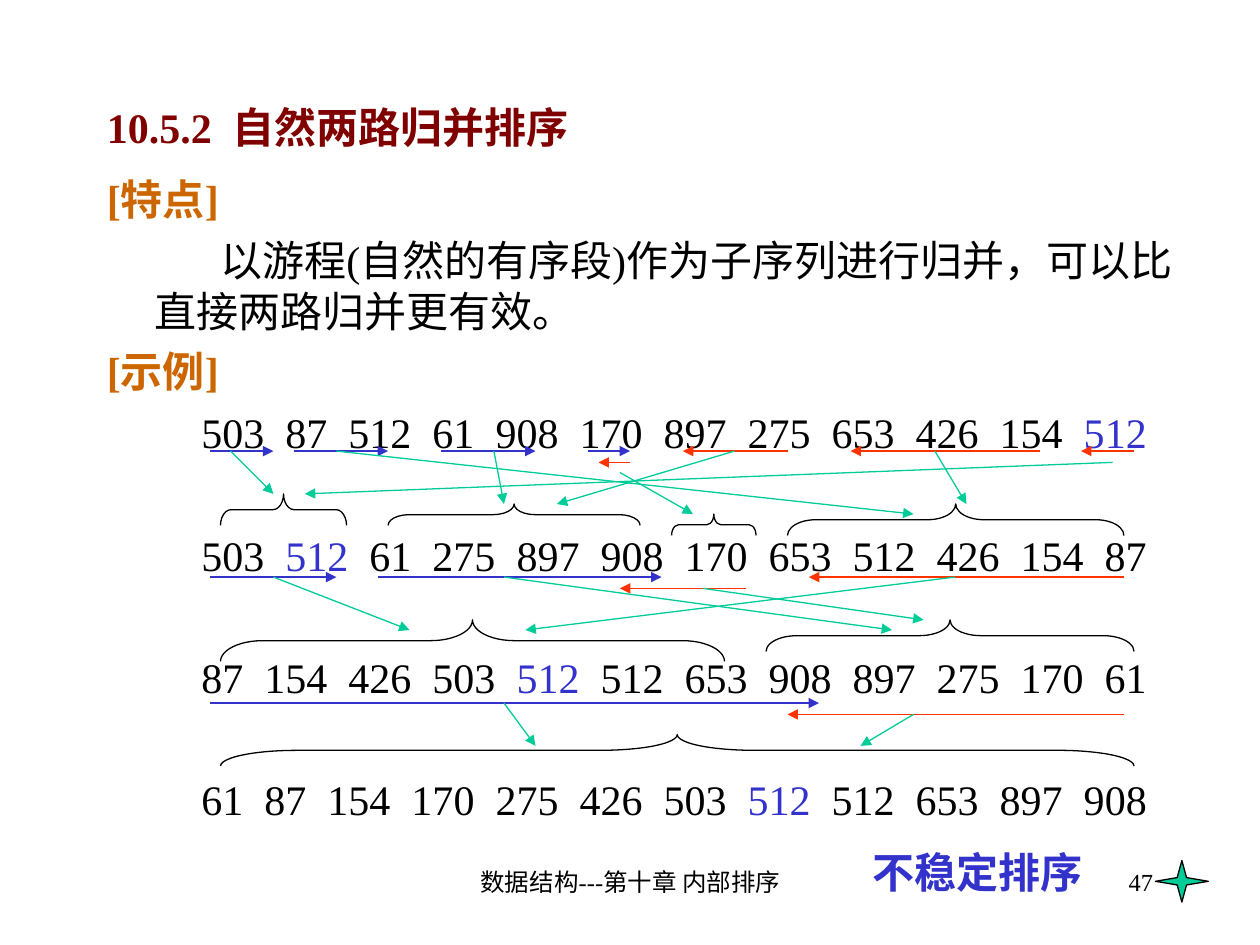
from dataclasses import dataclass
from lxml import etree
from pptx import Presentation
from pptx.dml.color import RGBColor
from pptx.enum.shapes import MSO_CONNECTOR as Connector, MSO_SHAPE as Shape
from pptx.enum.text import MSO_ANCHOR as Anchor, PP_ALIGN as Align
from pptx.oxml.ns import qn
from pptx.util import Inches, Pt

COLORS = {
    "black": "000000", "title": "800000", "heading": "CC6600",
    "ascending": "3333CC", "descending": "FF3300", "merge": "00CC99",
}
FONT = "Times New Roman"
GAP_SPACING = 6  # points that widen the single space between two words


@dataclass
class Arrow:
    x1: float
    y1: float
    x2: float
    y2: float


@dataclass
class Brace:
    left: float
    top: float
    width: float
    height: float


@dataclass
class Row:
    """One state of the sequence; marked is the index of the tracked 512."""
    numbers: str
    marked: int
    space_before: float


@dataclass
class MergePass:
    ascending: list[Arrow]
    descending: list[Arrow]
    merges: list[Arrow]
    braces: list[Brace]


ROWS = [
    Row("503 87 512 61 908 170 897 275 653 426 154 512", 11, 6),
    Row("503 512 61 275 897 908 170 653 512 426 154 87", 1, 41),
    Row("87 154 426 503 512 512 653 908 897 275 170 61", 4, 41),
    Row("61 87 154 170 275 426 503 512 512 653 897 908", 7, 41),
]

PASSES = [
    MergePass(
        ascending=[Arrow(1.67, 3.58, 2.17, 3.58), Arrow(2.33, 3.58, 3.08, 3.58),
                   Arrow(3.5, 3.58, 4.25, 3.58), Arrow(4.67, 3.58, 5, 3.58)],
        descending=[Arrow(9, 3.58, 8.58, 3.58), Arrow(8.25, 3.58, 6.75, 3.58),
                    Arrow(6.25, 3.58, 5.42, 3.58), Arrow(5, 3.67, 4.75, 3.67)],
        merges=[Arrow(1.83, 3.58, 2.17, 3.92), Arrow(8.83, 3.67, 2.42, 3.92),
                Arrow(3.92, 3.58, 4, 4), Arrow(7.42, 3.58, 7.67, 4),
                Arrow(2.67, 3.58, 7.25, 4.08), Arrow(5.83, 3.58, 4.42, 4),
                Arrow(4.92, 3.75, 5.5, 4.08)],
        braces=[Brace(1.75, 3.92, 1, 0.25), Brace(3.08, 4, 2, 0.17),
                Brace(6.25, 4, 2.67, 0.25), Brace(5.33, 4.08, 0.67, 0.17)],
    ),
    MergePass(
        ascending=[Arrow(1.67, 4.58, 2.67, 4.58), Arrow(3, 4.58, 5.25, 4.58)],
        descending=[Arrow(8.92, 4.58, 6.42, 4.58), Arrow(5.92, 4.67, 4.92, 4.67)],
        merges=[Arrow(2.17, 4.58, 3.25, 5), Arrow(7.58, 4.58, 4.17, 5),
                Arrow(4, 4.58, 7.08, 5), Arrow(5.58, 4.67, 7.33, 4.92)],
        braces=[Brace(1.75, 4.92, 4, 0.33), Brace(6.08, 4.92, 2.92, 0.25)],
    ),
    MergePass(
        ascending=[Arrow(1.67, 5.58, 6.5, 5.58)],
        descending=[Arrow(8.92, 5.67, 6.25, 5.67)],
        merges=[Arrow(4, 5.58, 4.25, 5.92), Arrow(7.25, 5.67, 6.83, 5.92)],
        braces=[Brace(1.75, 5.83, 7.25, 0.25)],
    ),
]


def color(name: str) -> RGBColor:
    return RGBColor.from_string(COLORS[name])


def add_box(slide, left: float, top: float, width: float, height: float, anchor=Anchor.TOP):
    box = slide.shapes.add_textbox(Inches(left), Inches(top), Inches(width), Inches(height))
    box.text_frame.word_wrap = True
    box.text_frame.vertical_anchor = anchor
    return box.text_frame


def add_run(paragraph, text: str, *, ink: str = "black", size: float = 24,
            bold: bool = False, spacing: float = 0) -> None:
    run = paragraph.add_run()
    run.text = text
    run.font.name, run.font.size, run.font.bold = FONT, Pt(size), bold
    run.font.color.rgb = color(ink)
    if spacing:
        run._r.get_or_add_rPr().set("spc", str(spacing * 100))


def add_paragraph(frame, *, first: bool = False, align=Align.LEFT, before: float = 0,
                  margin: float = 0, indent: float = 0):
    paragraph = frame.paragraphs[0] if first else frame.add_paragraph()
    properties = paragraph._p.get_or_add_pPr()
    properties.set("marL", str(Inches(margin)))
    properties.set("indent", str(Inches(indent)))
    paragraph.alignment = align
    if not first:
        paragraph.space_before = Pt(before)
    return paragraph


def add_label(slide, text: str, area: tuple, *, align=Align.LEFT, **font) -> None:
    frame = add_box(slide, *area)
    add_run(add_paragraph(frame, first=True, align=align), text, **font)


def add_row(frame, row: Row) -> None:
    paragraph = add_paragraph(frame, before=row.space_before, margin=0.75)
    for index, number in enumerate(row.numbers.split()):
        if index:
            add_run(paragraph, " ", spacing=GAP_SPACING)
        add_run(paragraph, number, ink="ascending" if index == row.marked else "black")


def add_arrow(slide, arrow: Arrow, ink: str) -> None:
    ends = map(Inches, (arrow.x1, arrow.y1, arrow.x2, arrow.y2))
    connector = slide.shapes.add_connector(Connector.STRAIGHT, *ends)
    connector.line.color.rgb = color(ink)
    connector.line.width = Pt(0.75)
    etree.SubElement(connector.line._get_or_add_ln(), qn("a:tailEnd"), type="triangle")
    etree.SubElement(connector._element.spPr, qn("a:effectLst"))


def add_outlined(slide, kind, left: float, top: float, width: float, height: float):
    shape = slide.shapes.add_shape(kind, Inches(left), Inches(top), Inches(width), Inches(height))
    shape.shadow.inherit = False
    shape.line.color.rgb = color("black")
    shape.line.width = Pt(0.75)
    return shape


def add_brace(slide, brace: Brace) -> None:
    # A left brace turned a quarter, so its sides swap around the same centre
    shift = (brace.width - brace.height) / 2
    shape = add_outlined(slide, Shape.LEFT_BRACE, brace.left + shift, brace.top - shift,
                         brace.height, brace.width)
    shape.rotation = 90
    shape.adjustments[0] = brace.width / brace.height / 12
    shape.fill.background()


def main() -> None:
    presentation = Presentation()
    presentation.slide_width, presentation.slide_height = Inches(10), Inches(7.5)
    slide = presentation.slides.add_slide(presentation.slide_layouts[6])

    # Footer and title
    add_label(slide, "数据结构---第十章 内部排序", (3.42, 6.83, 3.17, 0.5), align=Align.CENTER, size=14)
    add_label(slide, "47", (7.17, 6.83, 2.08, 0.5), align=Align.RIGHT, size=14)
    title = add_box(slide, 0.75, 0.67, 8.5, 0.67, anchor=Anchor.MIDDLE)
    heading = add_paragraph(title, first=True)
    for text, spacing in (("10.5.2", 0), (" ", GAP_SPACING), ("自然两路归并排序", 0)):
        add_run(heading, text, ink="title", bold=True, spacing=spacing)

    # Explanation and the sequence after each pass
    body = add_box(slide, 0.75, 1.33, 8.67, 5.33)
    add_run(add_paragraph(body, first=True), "[特点]", ink="heading", bold=True)
    add_run(add_paragraph(body, before=6, margin=0.38, indent=0.52),
            "以游程(自然的有序段)作为子序列进行归并，可以比直接两路归并更有效。")
    add_run(add_paragraph(body, before=6), "[示例]", ink="heading", bold=True)
    for row in ROWS:
        add_row(body, row)

    # Runs, merges and braces of each pass
    for merge_pass in PASSES:
        for ink in ("ascending", "descending"):
            for arrow in getattr(merge_pass, ink):
                add_arrow(slide, arrow, ink)
        for brace in merge_pass.braces:
            add_brace(slide, brace)
        for arrow in merge_pass.merges:
            add_arrow(slide, arrow, "merge")

    # Conclusion and corner star
    add_label(slide, "不稳定排序", (6.83, 6.67, 2.08, 0.5), ink="ascending", bold=True)
    star = add_outlined(slide, Shape.STAR_4_POINT, 9.17, 6.83, 0.42, 0.33)
    star.adjustments[0] = 0.125
    star.fill.solid()
    star.fill.fore_color.rgb = color("merge")

    presentation.save("out.pptx")


if __name__ == "__main__":
    main()
